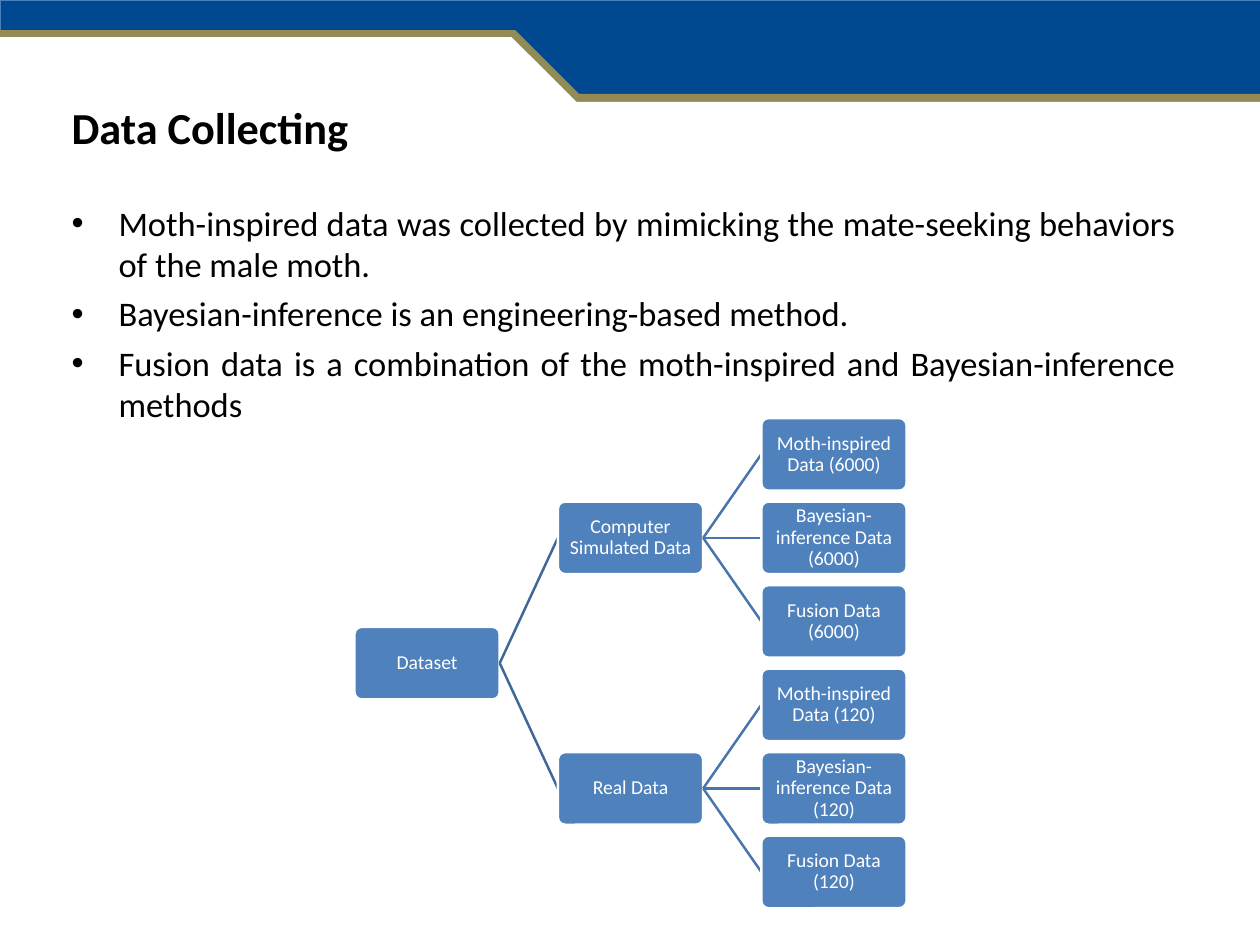
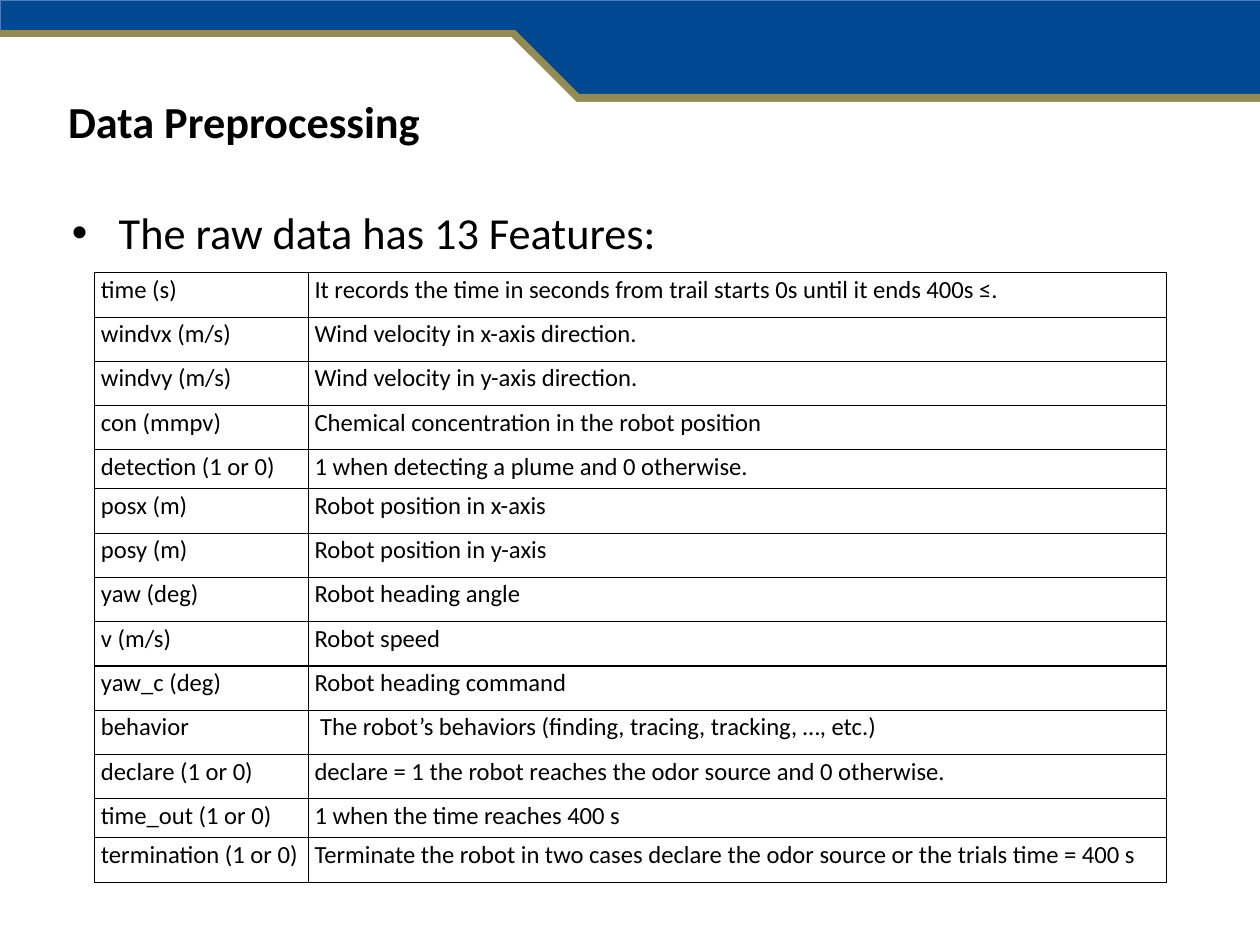
from pptx import Presentation
from pptx.util import Inches, Pt
from pptx.dml.color import RGBColor
from pptx.enum.shapes import MSO_SHAPE as Geo, MSO_CONNECTOR as Wire
from pptx.enum.text import PP_ALIGN as Align, MSO_ANCHOR as Anchor
from pptx.oxml.ns import qn
from lxml.etree import SubElement, Element

FONT = "Calibri"
BLUE, EDGE, GOLD = "00488F", "4B7EBC", "948A54"
WHITE, BLACK, NODE = "FFFFFF", "000000", "4F81BD"
LINKS = ["3F6797", "4875AC"]
WIDE, HIGH = 14.22, 10.67

POINTS = [
    "Moth-inspired data was collected by mimicking the mate-seeking behaviors of the male moth.",
    "Bayesian-inference is an engineering-based method.",
    "Fusion data is a combination of the moth-inspired and Bayesian-inference methods",
]


def leaves(count):
    kinds = ["Moth-inspired", "Bayesian-inference", "Fusion"]
    return [(f"{kind} Data ({count})", []) for kind in kinds]


TREE = ("Dataset", [("Computer Simulated Data", leaves(6000)),
                    ("Real Data", leaves(120))])

FEATURES = [
    ("time (s)", "It records the time in seconds from trail starts 0s until it ends 400s ≤."),
    ("windvx (m/s)", "Wind velocity in x-axis direction."),
    ("windvy (m/s)", "Wind velocity in y-axis direction."),
    ("con (mmpv)", "Chemical concentration in the robot position"),
    ("detection (1 or 0)", "1 when detecting a plume and 0 otherwise."),
    ("posx (m)", "Robot position in x-axis"),
    ("posy (m)", "Robot position in y-axis"),
    ("yaw (deg)", "Robot heading angle"),
    ("v (m/s)", "Robot speed"),
    ("yaw_c (deg)", "Robot heading command"),
    ("behavior", " The robot’s behaviors (finding, tracing, tracking, …, etc.)"),
    ("declare (1 or 0)", "declare = 1 the robot reaches the odor source and 0 otherwise."),
    ("time_out (1 or 0)", "1 when the time reaches 400 s"),
    ("termination (1 or 0)",
     "Terminate the robot in two cases declare the odor source or the trials time = 400 s"),
]
SHORT = {4, 12}  # rows that are slightly lower


def color(text):
    return RGBColor.from_string(text)


def style(par, size, tint=BLACK, bold=False, align=Align.LEFT):
    par.alignment = align
    for run in par.runs:
        font = run.font
        font.name, font.size, font.bold = FONT, Pt(size), bold
        font.color.rgb = color(tint)


def shape(slide, kind, box, fill, line=None, width=0.75):
    form = slide.shapes.add_shape(kind, *map(Inches, box))
    form.shadow.inherit = False
    form.fill.solid()
    form.fill.fore_color.rgb = color(fill)
    if line:
        form.line.color.rgb = color(line)
        form.line.width = Pt(width)
    else:
        form.line.fill.background()
    return form


def pad(frame, side, top):
    frame.margin_left = frame.margin_right = Inches(side)
    frame.margin_top = frame.margin_bottom = Inches(top)


def band(slide, layout):
    """Draw the header band and hand it to the layout, so all slides share it."""
    parts = [
        (Geo.RECTANGLE, (0, 0, WIDE, 1.15), BLUE, EDGE),
        (Geo.RECTANGLE, (0.24, 1.06, 13.99, 0.92), GOLD, None),
        (Geo.PENTAGON, (0, 0.34, 6.71, 1.79), GOLD, None),
        (Geo.PENTAGON, (0, 0.42, 6.62, 1.69), WHITE, None),
        (Geo.RECTANGLE, (0, 1.15, WIDE, 1.49), WHITE, None),
    ]
    for part in parts:
        layout.shapes.element.append(shape(slide, *part).element)


def title(slide, left, top, text):
    frame = slide.shapes.add_textbox(*map(Inches, (left, top, 5.83, 0.71))).text_frame
    frame.word_wrap = True
    frame.text = text
    style(frame.paragraphs[0], 36, bold=True)


def bullets(slide, box, items, size, side=0.1, top=0.05):
    frame = slide.shapes.add_textbox(*map(Inches, box)).text_frame
    frame.word_wrap = True
    pad(frame, side, top)
    for i, item in enumerate(items):
        par = frame.add_paragraph() if i else frame.paragraphs[0]
        par.text = item
        if i:
            par.space_before = Pt(size * 0.23)
        props = par._p.get_or_add_pPr()
        props.set("marL", str(Inches(0.53)))
        props.set("indent", str(-Inches(0.53)))
        SubElement(props, qn("a:buFont"), typeface="Arial")
        SubElement(props, qn("a:buChar"), char="•")
        style(par, size, align=Align.JUSTIFY)


def tree(slide, left, top, root):
    """Lay a tree out from left to right, each parent centred on its branch."""
    wide, high = 1.64, 0.82
    step, pitch = wide * 1.4, high * 1.15

    def span(node):
        return sum(map(span, node[1])) or 1

    def grow(node, level, row):
        label, kids = node
        y = top + (row + (span(node) - 1) / 2) * pitch
        box = shape(slide, Geo.ROUNDED_RECTANGLE,
                    (left + level * step, y, wide, high), NODE, WHITE, 2)
        box.adjustments[0] = 0.1
        frame = box.text_frame
        frame.word_wrap = True
        frame.vertical_anchor = Anchor.MIDDLE
        pad(frame, 0.04, 0.04)
        frame.text = label
        style(frame.paragraphs[0], 16, WHITE, align=Align.CENTER)
        frame.paragraphs[0].line_spacing = 0.9
        for kid in kids:
            link = slide.shapes.add_connector(Wire.STRAIGHT, 0, 0, 0, 0)
            link.line.color.rgb = color(LINKS[level])
            link.line.width = Pt(2)
            SubElement(link.element.spPr, qn("a:effectLst"))
            link.begin_connect(box, 3)
            link.end_connect(grow(kid, level + 1, row), 1)
            row += span(kid)
        return box

    grow(root, 0, 0)


def border(cell):
    props = cell._tc.get_or_add_tcPr()
    for i, side in enumerate(["lnL", "lnR", "lnT", "lnB"]):
        line = Element(qn(f"a:{side}"), w=str(Pt(1)))
        fill = SubElement(line, qn("a:solidFill"))
        SubElement(fill, qn("a:srgbClr"), val=BLACK)
        props.insert(i, line)


def grid(slide, left, top, rows, widths):
    highs = [0.44 if i in SHORT else 0.5 for i in range(len(rows))]
    box = (left, top, sum(widths), sum(highs))
    table = slide.shapes.add_table(len(rows), len(widths), *map(Inches, box)).table
    table.first_row = table.horz_banding = False
    for col, width in zip(table.columns, widths):
        col.width = Inches(width)
    for line, high, texts in zip(table.rows, highs, rows):
        line.height = Inches(high)
        for cell, text in zip(line.cells, texts):
            cell.fill.background()
            border(cell)
            pad(cell, 0.07, 0)
            cell.text = text
            par = cell.text_frame.paragraphs[0]
            par.line_spacing = 1.07
            style(par, 20, align=Align.JUSTIFY)


def collect(slide):
    tree(slide, 4, 4.72, TREE)
    title(slide, 0.71, 1.08, "Data Collecting")
    bullets(slide, (0.71, 2.23, 12.65, 2.68), POINTS, 28)


def prepare(slide):
    title(slide, 0.67, 1.02, "Data Preprocessing")
    bullets(slide, (0.67, 2.25, 12.8, 7.04),
            ["The raw data has 13 Features:"], 36, 0.14, 0.07)
    grid(slide, 1.07, 3.08, FEATURES, [2.41, 9.68])


def main():
    deck = Presentation()
    deck.slide_width, deck.slide_height = Inches(WIDE), Inches(HIGH)
    blank = deck.slide_layouts[6]
    first, second = [deck.slides.add_slide(blank) for _ in range(2)]
    band(first, blank)
    collect(first)
    prepare(second)
    deck.save("out.pptx")


if __name__ == "__main__":
    main()
